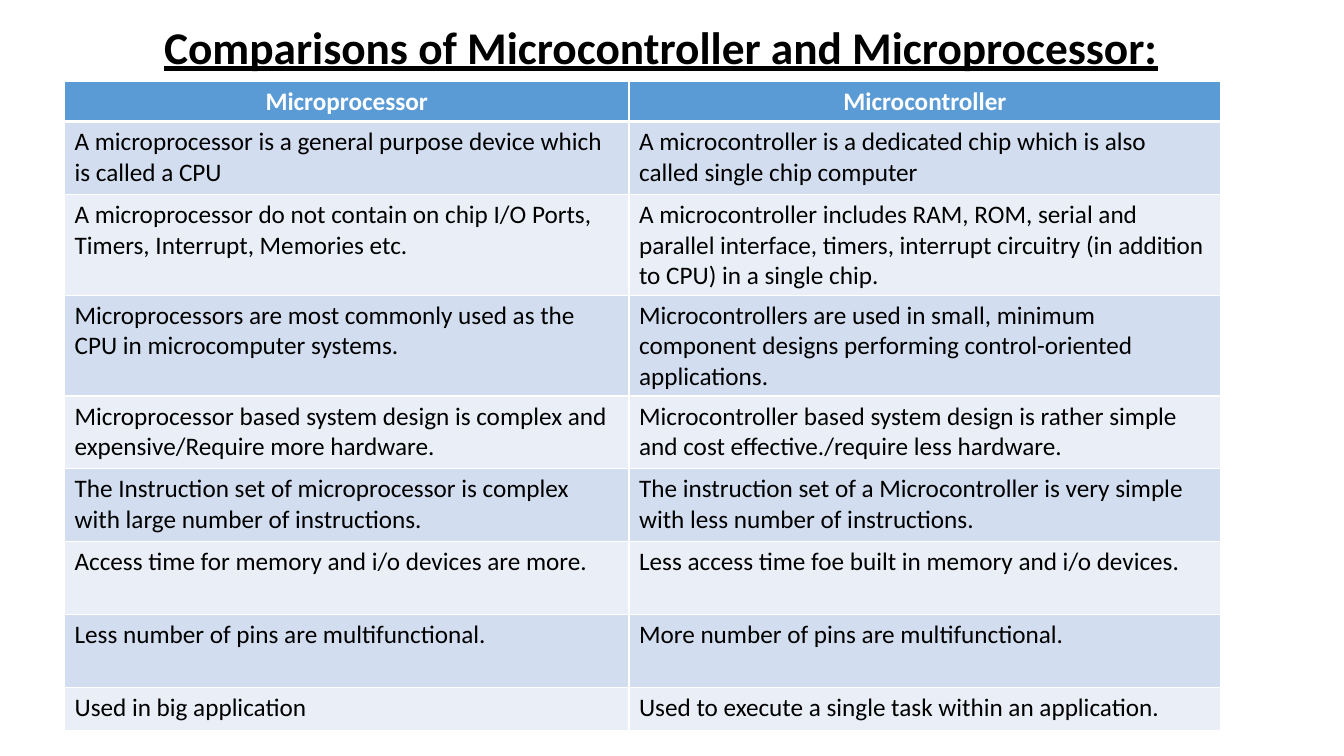
"""Build a slide comparing microprocessors and microcontrollers in a table."""
from lxml import etree
from pptx import Presentation
from pptx.dml.color import RGBColor
from pptx.enum.text import MSO_ANCHOR, PP_ALIGN
from pptx.oxml.ns import qn
from pptx.util import Pt

CENTER, LEFT = PP_ALIGN.CENTER, PP_ALIGN.LEFT
MIDDLE = MSO_ANCHOR.MIDDLE
FONT = "Calibri"
BLACK, WHITE = "000000", "FFFFFF"
HEADER_FILL = "5B9BD5"
BAND_FILLS = ["EAEFF7", "D2DEEF"]

TITLE = "Comparisons of Microcontroller and Microprocessor:"
ROWS = [
    ("Microprocessor", "Microcontroller"),
    ("A microprocessor is a general purpose device which is called a CPU",
     "A microcontroller is a dedicated chip which is also called single chip computer"),
    ("A microprocessor do not contain on chip I/O Ports, Timers, Interrupt, Memories etc.",
     "A microcontroller includes RAM, ROM, serial and parallel interface, timers, "
     "interrupt circuitry (in addition to CPU) in a single chip."),
    ("Microprocessors are most commonly used as the CPU in microcomputer systems.",
     "Microcontrollers are used in small, minimum component designs performing "
     "control-oriented applications."),
    ("Microprocessor based system design is complex and expensive/Require more hardware.",
     "Microcontroller based system design is rather simple and cost effective."
     "/require less hardware."),
    ("The Instruction set of microprocessor is complex with large number of instructions.",
     "The instruction set of a Microcontroller is very simple with less number of "
     "instructions."),
    ("Access time for memory and i/o devices are more.",
     "Less access time foe built in memory and i/o devices."),
    ("Less number of pins are multifunctional.",
     "More number of pins are multifunctional."),
    ("Used in big application",
     "Used to execute a single task within an application."),
]
COL_WIDTHS = [403.2, 422.8]
ROW_HEIGHTS = [24] + [52] * 7 + [31]


def rgb(color):
    return RGBColor.from_string(color)


def add_run(p, text, size, color, bold, underline=False):
    r = p.add_run()
    r.text = text
    font = r.font
    font.name, font.size = FONT, Pt(size)
    font.bold, font.underline = bold, underline
    font.color.rgb = rgb(color)


def set_border(cell, side, width):
    tc_pr = cell._tc.get_or_add_tcPr()
    ln = etree.SubElement(tc_pr, qn(f"a:ln{side}"), w=str(Pt(width)))
    fill = etree.SubElement(ln, qn("a:solidFill"))
    etree.SubElement(fill, qn("a:srgbClr"), val=WHITE)


def fill_cell(cell, text, row):
    header = row == 0
    top, bottom = 3 if row == 1 else 1, 3 if header else 1
    for side, width in zip("LRTB", (1, 1, top, bottom)):
        set_border(cell, side, width)
    cell.fill.solid()
    cell.fill.fore_color.rgb = rgb(HEADER_FILL if header else BAND_FILLS[row % 2])
    p = cell.text_frame.paragraphs[0]
    p.alignment = CENTER if header else LEFT
    add_run(p, text, 18, WHITE if header else BLACK, header)


def add_title(s):
    tf = s.shapes.add_textbox(Pt(110.2), Pt(16.6), Pt(746.6), Pt(37.4)).text_frame
    tf.word_wrap = True
    tf.vertical_anchor = MIDDLE
    p = tf.paragraphs[0]
    p.line_spacing = 0.9
    add_run(p, TITLE, 32.4, BLACK, True, True)


def add_comparison(s):
    table = s.shapes.add_table(len(ROWS), len(COL_WIDTHS), Pt(46.1), Pt(58),
                               Pt(sum(COL_WIDTHS)), Pt(sum(ROW_HEIGHTS))).table
    for column, width in zip(table.columns, COL_WIDTHS):
        column.width = Pt(width)
    for i, (texts, height) in enumerate(zip(ROWS, ROW_HEIGHTS)):
        table.rows[i].height = Pt(height)
        for j, text in enumerate(texts):
            fill_cell(table.cell(i, j), text, i)


def main():
    prs = Presentation()
    prs.slide_width, prs.slide_height = Pt(960), Pt(540)
    s = prs.slides.add_slide(prs.slide_layouts[6])
    add_title(s)
    add_comparison(s)
    prs.save("out.pptx")


if __name__ == "__main__":
    main()
